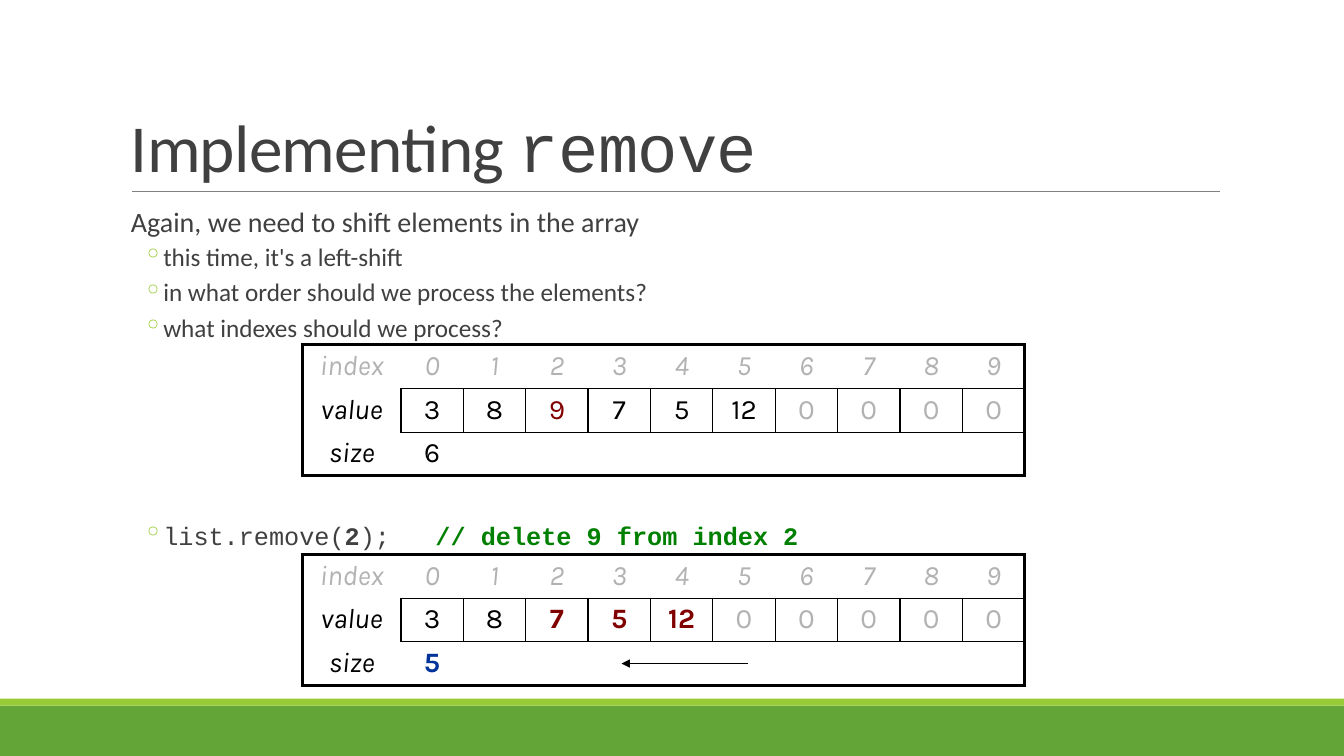
import dataclasses

import lxml.etree
import pptx
import pptx.dml.color
import pptx.enum.shapes
import pptx.enum.text
import pptx.oxml.ns
import pptx.util

Pt = pptx.util.Pt
qn = pptx.oxml.ns.qn


@dataclasses.dataclass(frozen=True)
class Theme:
    text: str = "404040"
    band: str = "63A537"
    accent: str = "99CB38"
    rule: str = "808080"
    black: str = "000000"
    muted: str = "B2B2B2"
    moved: str = "800000"
    changed: str = "003399"
    comment: str = "008000"
    body_font: str = "Calibri"
    code_font: str = "Courier New"
    table_font: str = "Karla"
    title_size: float = 48
    lead_size: float = 20
    point_size: float = 18
    table_size: float = 20
    outer_border: float = 2.25
    inner_border: float = 1


THEME = Theme()


def rgb(color):
    return pptx.dml.color.RGBColor.from_string(color)


def add_text_box(slide, box, side_inset):
    shape = slide.shapes.add_textbox(*map(Pt, box))
    frame = shape.text_frame
    frame.word_wrap = True
    frame.margin_left = frame.margin_right = Pt(side_inset)
    return frame


def style_paragraph(paragraph, font, size, color, line_spacing):
    paragraph.font.name = font
    paragraph.font.size = Pt(size)
    paragraph.font.color.rgb = rgb(color)
    paragraph.line_spacing = line_spacing


def style_point(paragraph, font, line_spacing):
    """Second-level point with an accent-coloured ring bullet."""
    style_paragraph(paragraph, font, THEME.point_size, THEME.text, line_spacing)
    paragraph.space_before, paragraph.space_after = Pt(2), Pt(4)
    properties = paragraph._p.get_or_add_pPr()
    properties.set("marL", str(Pt(30.24)))
    properties.set("indent", str(Pt(-14.4)))
    bullet_color = lxml.etree.Element(qn("a:buClr"))
    lxml.etree.SubElement(bullet_color, qn("a:srgbClr"), val=THEME.accent)
    bullet = lxml.etree.Element(qn("a:buChar"), char="◦")
    # Bullet settings belong between spacing and default run properties
    defaults = properties.find(qn("a:defRPr"))
    defaults.addprevious(bullet_color)
    defaults.addprevious(bullet)


def add_line(slide, start, end, color, width):
    line = slide.shapes.add_connector(
        pptx.enum.shapes.MSO_CONNECTOR.STRAIGHT, *map(Pt, start + end))
    line.line.color.rgb = rgb(color)
    line.line.width = Pt(width)
    lxml.etree.SubElement(line._element.spPr, qn("a:effectLst"))
    return line


def add_footer(slide, box):
    """Dark band with a thin accent strip along its top."""
    left, top, width, height = box
    strip = 5
    for color, y, h in ((THEME.band, top + strip, height - strip),
                        (THEME.accent, top, strip)):
        shape = slide.shapes.add_shape(
            pptx.enum.shapes.MSO_SHAPE.RECTANGLE, *map(Pt, (left, y, width, h)))
        shape.shadow.inherit = False
        shape.fill.solid()
        shape.fill.fore_color.rgb = rgb(color)
        shape.line.fill.background()


def add_title(slide, box, words, code):
    left, top, width, height = box
    frame = add_text_box(slide, box, 7.2)
    frame.vertical_anchor = pptx.enum.text.MSO_ANCHOR.BOTTOM
    paragraph = frame.paragraphs[0]
    style_paragraph(paragraph, THEME.body_font, THEME.title_size, THEME.text, 0.85)
    for text, font in ((words, THEME.body_font), (code, THEME.code_font)):
        run = paragraph.add_run()
        run.text = text
        run.font.name = font
        run._r.get_or_add_rPr().set("spc", "-50")
    bottom = top + height
    add_line(slide, (left + 8, bottom), (left + width - 7, bottom), THEME.rule, 0.5)


def add_points(slide, box, lead, points):
    frame = add_text_box(slide, box, 0)
    paragraph = frame.paragraphs[0]
    paragraph.text = lead
    style_paragraph(paragraph, THEME.body_font, THEME.lead_size, THEME.text, 0.9)
    paragraph.space_before, paragraph.space_after = Pt(12), Pt(2)
    paragraph._p.get_or_add_pPr().set("marL", str(Pt(7.2)))
    for point in points:
        paragraph = frame.add_paragraph()
        paragraph.text = point
        style_point(paragraph, THEME.body_font, 0.9)


def add_code_point(slide, box, pieces):
    paragraph = add_text_box(slide, box, 0).paragraphs[0]
    style_point(paragraph, THEME.code_font, 0.8)
    for text, color, bold in pieces:
        run = paragraph.add_run()
        run.text = text
        run.font.color.rgb = rgb(color)
        run.font.bold = bold


def set_borders(cell, widths):
    """Border widths run left, right, top, bottom; zero means no line."""
    properties = cell._tc.get_or_add_tcPr()
    for position, (side, width) in enumerate(zip("LRTB", widths)):
        line = lxml.etree.Element(qn(f"a:ln{side}"), w=str(Pt(width)))
        if width:
            fill = lxml.etree.SubElement(line, qn("a:solidFill"))
            lxml.etree.SubElement(fill, qn("a:srgbClr"), val=THEME.black)
        else:
            lxml.etree.SubElement(line, qn("a:noFill"))
        properties.insert(position, line)


def add_array_table(slide, box, values, size):
    """Index, value and size rows; each entry is (text, color, bold)."""
    left, top, width, height = box
    rows = [
        [(str(text), THEME.muted, False) for text in ("index", *range(len(values)))],
        [("value", THEME.black, False), *values],
        [("size", THEME.black, False), size],
    ]
    last_row, last_column = len(rows) - 1, len(values)
    table = slide.shapes.add_table(
        len(rows), last_column + 1, *map(Pt, box)).table
    table.first_row = table.horz_banding = False
    label_width = 70.4
    for column, table_column in enumerate(table.columns):
        table_column.width = Pt((width - label_width) / last_column if column else label_width)
    for row, entries in enumerate(rows):
        table.rows[row].height = Pt(height / len(rows))
        for column in range(last_column + 1):
            cell = table.cell(row, column)
            cell.fill.background()
            outer = THEME.outer_border
            upright = THEME.inner_border if row == 1 else 0
            level = THEME.inner_border if column else 0
            set_borders(cell, (outer if column == 0 else upright,
                               outer if column == last_column else upright,
                               outer if row == 0 else level,
                               outer if row == last_row else level))
            if column < len(entries):
                text, color, bold = entries[column]
                paragraph = cell.text_frame.paragraphs[0]
                paragraph.text = text
                paragraph.alignment = pptx.enum.text.PP_ALIGN.CENTER
                style_paragraph(paragraph, THEME.table_font, THEME.table_size, color, 1.0)
                paragraph.font.bold = bold
                paragraph.font.italic = row == 0 or column == 0


def add_shift_arrow(slide, start, end):
    arrow = add_line(slide, start, end, THEME.black, 0.75)
    lxml.etree.SubElement(arrow.line._get_or_add_ln(), qn("a:tailEnd"), type="triangle")


def main():
    presentation = pptx.Presentation()
    presentation.slide_width, presentation.slide_height = Pt(960), Pt(540)
    slide = presentation.slides.add_slide(presentation.slide_layouts[6])

    # Frame and text
    add_footer(slide, (0, 499, 960, 41))
    add_title(slide, (86.4, 22.5, 792, 114.3), "Implementing ", "remove")
    add_points(slide, (86.4, 145.4, 792, 105),
               "Again, we need to shift elements in the array",
               ("this time, it's a left-shift",
                "in what order should we process the elements?",
                "what indexes should we process?"))
    add_code_point(slide, (86.4, 372, 792, 24),
                   (("list.remove(", THEME.text, False), ("2", THEME.text, True),
                    (");   ", THEME.text, False),
                    ("// delete 9 from index 2", THEME.comment, True)))

    # Array before and after the removal
    kept = [(text, THEME.black, False) for text in ("3", "8")]
    removed = [("9", THEME.moved, False)]
    waiting = [(text, THEME.black, False) for text in ("7", "5", "12")]
    shifted = [(text, THEME.moved, True) for text in ("7", "5", "12")]
    unused = [("0", THEME.muted, False)]
    add_array_table(slide, (216, 246.2, 516.2, 93.6),
                    kept + removed + waiting + unused * 4, ("6", THEME.black, False))
    add_array_table(slide, (216, 396, 516.2, 93.6),
                    kept + shifted + unused * 5, ("5", THEME.changed, True))
    add_shift_arrow(slide, (534, 474), (444, 474))

    presentation.save("out.pptx")


if __name__ == "__main__":
    main()
